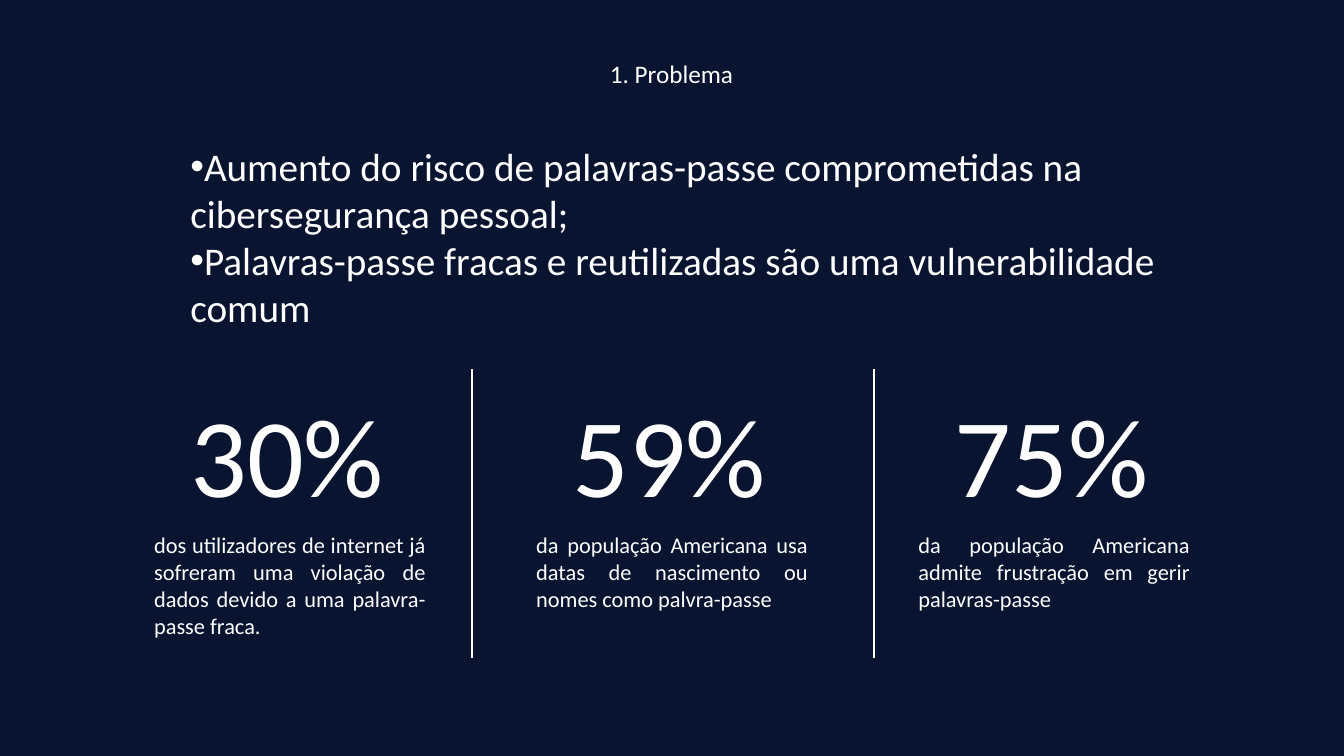
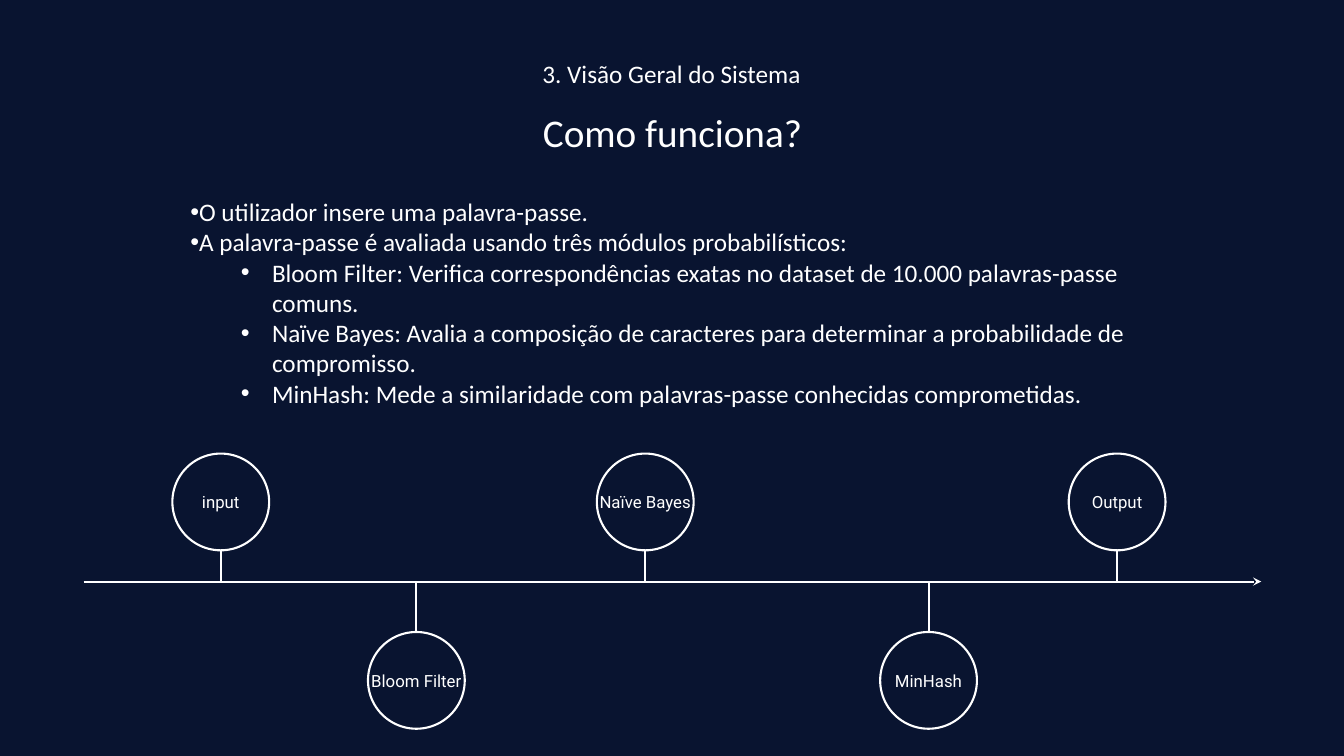
import pptx
import pptx.util
import pptx.dml.color
import pptx.enum.text
import pptx.enum.shapes
import pptx.oxml.ns
import lxml.etree

Inches = pptx.util.Inches
Pt = pptx.util.Pt
Align = pptx.enum.text.PP_ALIGN
Anchor = pptx.enum.text.MSO_ANCHOR
qn = pptx.oxml.ns.qn


def color(code):
    return pptx.dml.color.RGBColor.from_string(code)


class Deck:
    NAVY = "091430"
    WHITE = "FFFFFF"
    FONT = "Calibri"
    LABEL = "Roboto"
    WEIGHT = 1.5

    def __init__(self):
        self.show = pptx.Presentation()
        self.show.slide_width = Inches(13.33)
        self.show.slide_height = Inches(7.5)
        self.slide = None

    def page(self, title):
        """Start a slide with the shared background and title."""
        self.slide = self.show.slides.add_slide(self.show.slide_layouts[5])
        fill = self.slide.background.fill
        fill.solid()
        fill.fore_color.rgb = color(self.NAVY)
        head = self.slide.shapes.title
        head.left, head.top = Inches(4.97), Inches(0.53)
        head.width, head.height = Inches(3.38), Inches(0.4)
        self.fill(head.text_frame, title, 18, Align.CENTER)

    def fill(self, frame, text, size, align=Align.LEFT, font=FONT):
        """Set and format the text of a frame."""
        frame.text = text
        frame.word_wrap = True
        frame.auto_size = pptx.enum.text.MSO_AUTO_SIZE.NONE
        frame.vertical_anchor = Anchor.TOP
        for para in frame.paragraphs:
            para.alignment = align
            for run in para.runs:
                run.font.size = Pt(size)
                run.font.name = font
                run.font.color.rgb = color(self.WHITE)

    def text(self, left, top, width, height, text, size, align=Align.LEFT):
        box = self.slide.shapes.add_textbox(
            Inches(left), Inches(top), Inches(width), Inches(height))
        self.fill(box.text_frame, text, size, align)
        return box.text_frame

    def bullets(self, top, height, items, size):
        """Add bullets from (level, text) pairs."""
        lines = "\n".join(text for _, text in items)
        frame = self.text(1.79, top, 9.76, height, lines, size)
        for para, (level, _) in zip(frame.paragraphs, items):
            para.level = level
            props = para._p.get_or_add_pPr()
            props.set("marL", str(Inches(0.81 * level)))
            props.set("indent", str(Inches(-0.31 * level)))
            lxml.etree.SubElement(props, qn("a:buFont"), typeface="Arial")
            lxml.etree.SubElement(props, qn("a:buChar"), char="•")

    def line(self, x1, y1, x2, y2, arrow=False):
        line = self.slide.shapes.add_connector(
            pptx.enum.shapes.MSO_CONNECTOR.STRAIGHT,
            Inches(x1), Inches(y1), Inches(x2), Inches(y2))
        line.line.color.rgb = color(self.WHITE)
        line.line.width = Pt(self.WEIGHT)
        props = line._element.spPr
        if arrow:
            lxml.etree.SubElement(
                props.find(qn("a:ln")), qn("a:tailEnd"), type="stealth")
        lxml.etree.SubElement(props, qn("a:effectLst"))

    def node(self, x, y, label, size=0.96):
        """Draw a labelled circle centred on x, y."""
        disc = self.slide.shapes.add_shape(
            pptx.enum.shapes.MSO_SHAPE.OVAL, Inches(x - size / 2),
            Inches(y - size / 2), Inches(size), Inches(size))
        disc.shadow.inherit = False
        disc.fill.solid()
        disc.fill.fore_color.rgb = color(self.NAVY)
        disc.line.color.rgb = color(self.WHITE)
        disc.line.width = Pt(self.WEIGHT)
        frame = disc.text_frame
        self.fill(frame, label, 12, Align.CENTER, self.LABEL)
        frame.word_wrap = False
        frame.vertical_anchor = Anchor.MIDDLE


def problem(deck):
    deck.page("1. Problema")
    deck.bullets(1.36, 1.99, [
        (0, "Aumento do risco de palavras-passe comprometidas na "
            "cibersegurança pessoal;"),
        (0, "Palavras-passe fracas e reutilizadas são uma "
            "vulnerabilidade comum"),
    ], 28)

    # Three figures in equal columns
    stats = [
        ("30%", "dos utilizadores de internet já sofreram uma violação de "
                "dados devido a uma palavra-passe fraca."),
        ("59%", "da população Americana usa datas de nascimento ou nomes "
                "como palvra-passe"),
        ("75%", "da população Americana admite frustração em gerir "
                "palavras-passe"),
    ]
    for col, (value, note) in enumerate(stats):
        left = 1.43 + 3.79 * col
        deck.text(left + 0.36, 3.78, 2.18, 1.45, value, 80)
        deck.text(left, 5.22, 2.89, 1.18, note, 16, Align.JUSTIFY)

    # Dividers
    for x in (4.68, 8.67):
        deck.line(x, 3.66, x, 6.53)


def system(deck):
    deck.page("3. Visão Geral do Sistema")
    deck.text(1.79, 1.03, 9.76, 0.57, "Como funciona?", 28, Align.CENTER)
    deck.bullets(1.9, 2.22, [
        (0, "O utilizador insere uma palavra-passe."),
        (0, "A palavra-passe é avaliada usando três módulos "
            "probabilísticos:"),
        (1, "Bloom Filter: Verifica correspondências exatas no dataset de "
            "10.000 palavras-passe comuns."),
        (1, "Naïve Bayes: Avalia a composição de caracteres para determinar "
            "a probabilidade de compromisso."),
        (1, "MinHash: Mede a similaridade com palavras-passe conhecidas "
            "comprometidas."),
    ], 18)

    # Timeline with nodes above and below in turn
    axis = 5.77
    deck.line(0.83, axis, 12.51, axis, arrow=True)
    steps = [(2.19, "input"), (4.13, "Bloom Filter"), (6.4, "Naïve Bayes"),
             (9.21, "MinHash"), (11.08, "Output")]
    for index, (x, label) in enumerate(steps):
        y = 6.75 if index % 2 else 4.98
        deck.line(x, axis, x, y)
        deck.node(x, y, label)


def main():
    deck = Deck()
    problem(deck)
    system(deck)
    deck.show.save("out.pptx")


if __name__ == "__main__":
    main()
